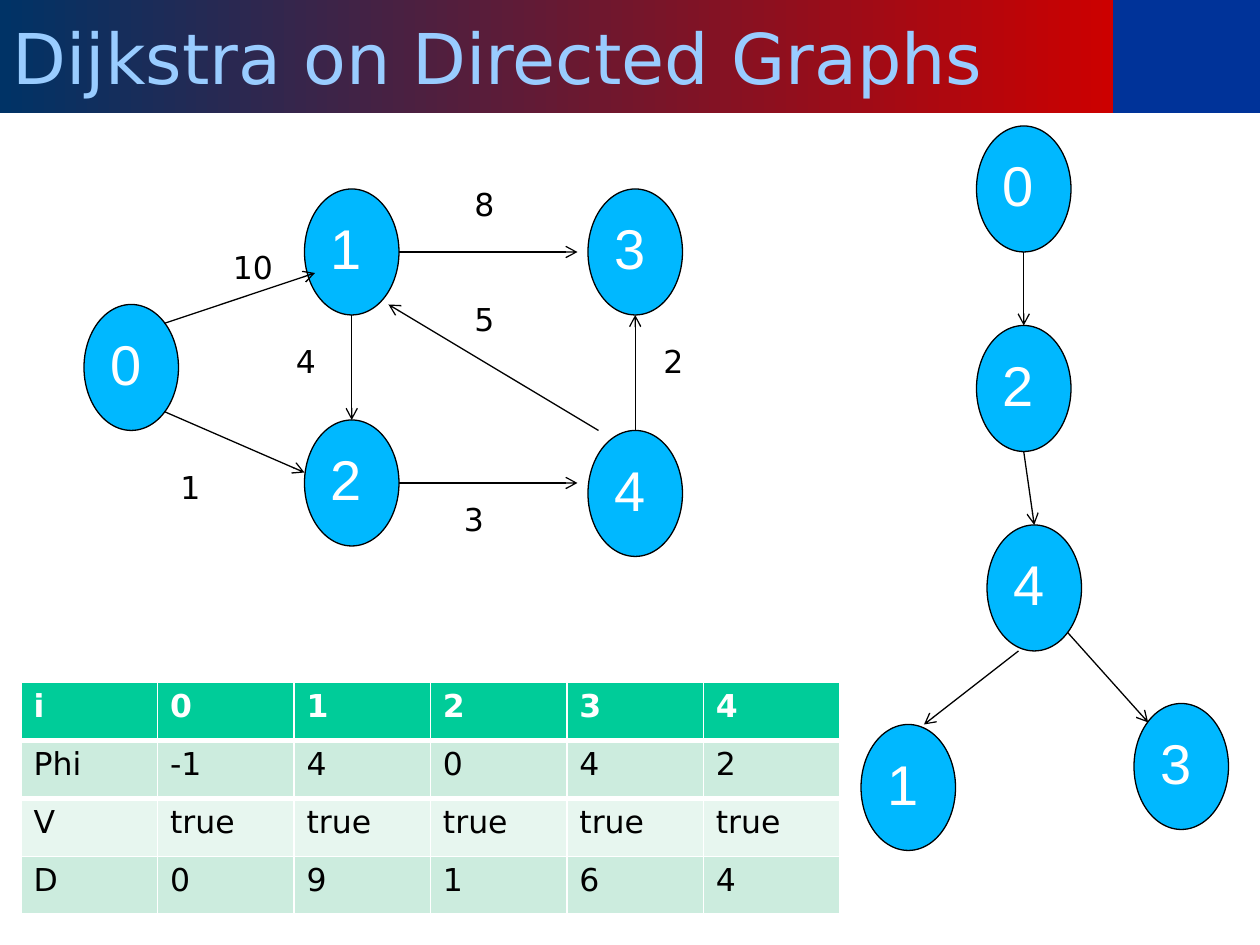
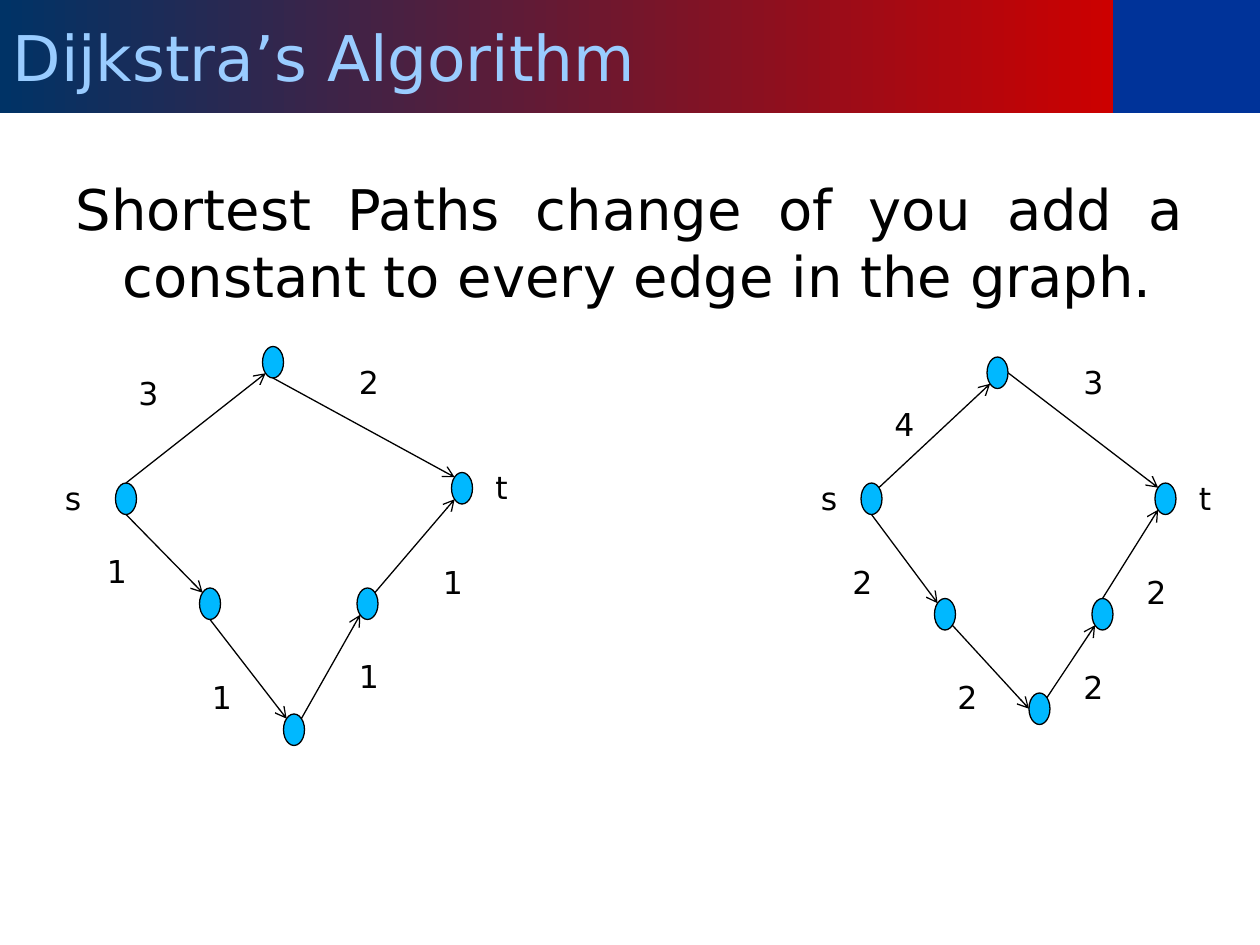
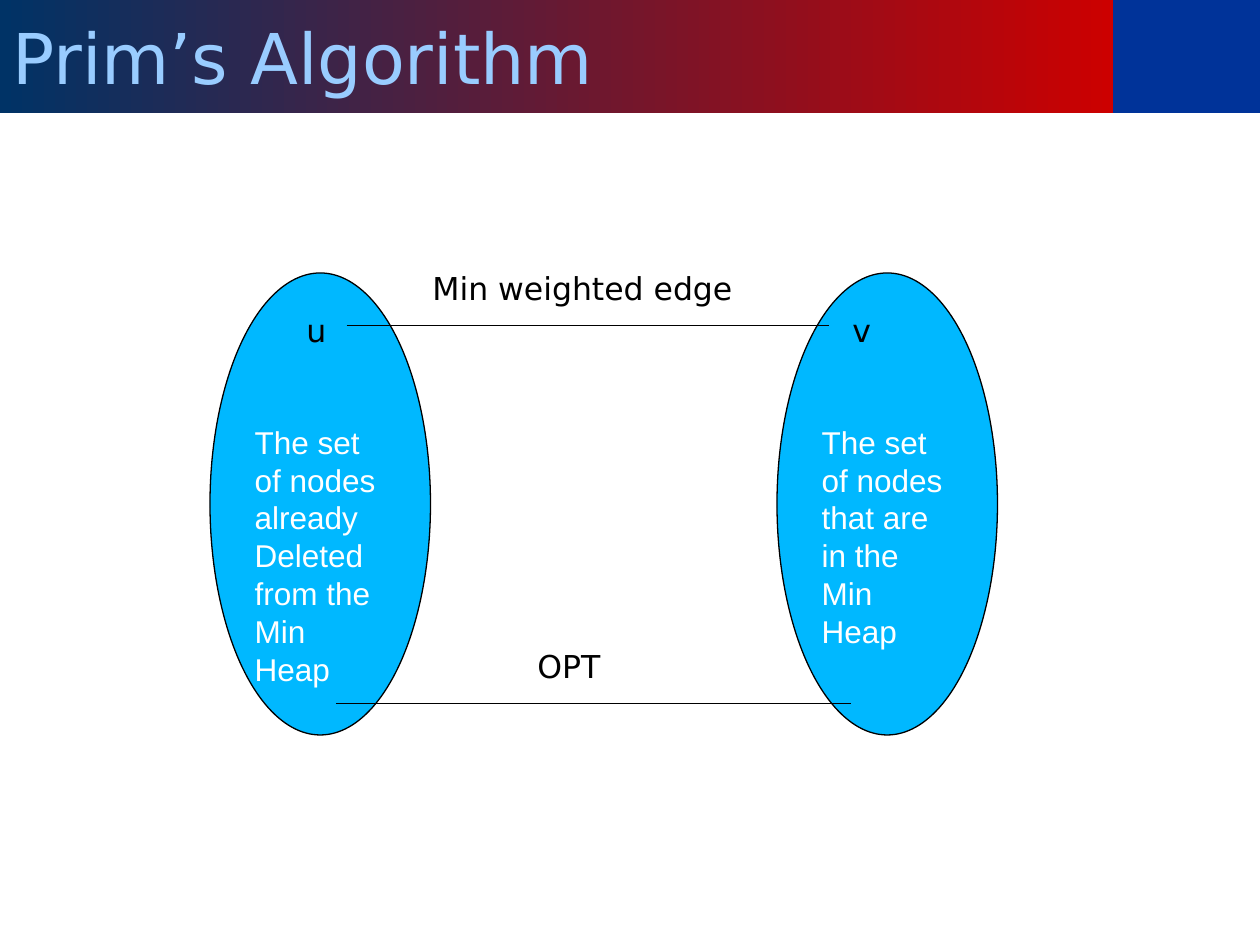
import dataclasses

import lxml.etree
import pptx
import pptx.dml.color
import pptx.enum.shapes
import pptx.enum.text
import pptx.oxml.ns
import pptx.util


@dataclasses.dataclass(frozen=True)
class Theme:
    heading: str = "99CCFF"
    band_right: str = "CC0000"
    band_left: str = "003366"
    corner: str = "003399"
    node: str = "00B8FF"
    ink: str = "000000"
    paper: str = "FFFFFF"
    table_head: str = "00CC99"
    table_rows: tuple = ("CCECDE", "E7F6EF")
    font: str = "DejaVu Sans"
    node_font: str = "Arial"
    title_size: int = 40
    small_title_size: int = 36
    large_size: int = 32
    text_size: int = 18
    line_width: float = 0.75
    seam_width: int = 3


THEME = Theme()
SLIDE = (720, 540)
BAND = (636.2, 64.5)
ALIGN = pptx.enum.text.PP_ALIGN
ANCHOR = pptx.enum.text.MSO_ANCHOR
SITES = {
    "n": (0.5, 0), "ne": (0.85, 0.15), "e": (1, 0.5), "se": (0.85, 0.85),
    "s": (0.5, 1), "sw": (0.15, 0.85), "w": (0, 0.5), "nw": (0.15, 0.15),
}
LABEL_WIDTHS = {"t": 21.6, "s": 23.8, "10": 37.4, "OPT": 51, "Min weighted edge": 186.5}

DIRECTED_GRAPH = {
    "nodes": {"4": (336, 246), "3": (336, 108), "2": (174, 240), "1": (174, 108), "0": (48, 174)},
    "edges": [
        ("0 ne", (180, 156)), ("0 se", (174, 270)), ("1 s", "2 n"), ("1 e", (330, 144)),
        ("2 e", (330, 276)), ((342, 246), (222, 174)), ("4 n", "3 s"),
    ],
    "labels": [
        ("10", 126, 138), ("4", 162, 192), ("5", 264, 168), ("2", 372, 192),
        ("3", 258, 282), ("1", 96, 264), ("8", 264, 102),
    ],
}
SHORTEST_PATH_TREE = {
    "nodes": {"0": (558, 72), "2": (558, 186), "4": (564, 300), "3": (648, 402), "1": (492, 414)},
    "edges": [("0 s", "2 n"), ("2 s", "4 n"), ((582, 372), (528, 414)), ("4 se", "3 nw")],
    "labels": [],
}
DISTANCES = [
    ("i", "0", "1", "2", "3", "4"),
    ("Phi", "-1", "4", "0", "4", "2"),
    ("V", "true", "true", "true", "true", "true"),
    ("D", "0", "9", "1", "6", "4"),
]
CONSTANT_CLAIM = "Shortest Paths change of you add a constant to every edge in the graph."
BEFORE_CONSTANT = {
    "nodes": {
        "bottom": (162, 408), "right": (204, 336), "left": (114, 336),
        "top": (150, 198), "s": (66, 276), "t": (258, 270),
    },
    "edges": [
        ("s n", "top sw"), ("top s", "t nw"), ("s s", "left nw"),
        ("left s", "bottom nw"), ("bottom ne", "right sw"), ("right ne", "t sw"),
    ],
    "labels": [
        ("t", 276, 264), ("s", 30, 270), ("3", 72, 210), ("1", 246, 318),
        ("1", 198, 372), ("1", 114, 384), ("1", 54, 312), ("2", 198, 204),
    ],
}
AFTER_CONSTANT = {
    "nodes": {
        "right": (624, 342), "bottom": (588, 396), "left": (534, 342),
        "top": (564, 204), "t": (660, 276), "s": (492, 276),
    },
    "edges": [
        ("s ne", "top sw"), ("top e", "t nw"), ("s s", "left nw"),
        ("left se", "bottom w"), ("bottom ne", "right sw"), ("right n", "t sw"),
    ],
    "labels": [
        ("t", 678, 270), ("s", 462, 270), ("4", 504, 228), ("2", 648, 324),
        ("2", 612, 378), ("2", 540, 384), ("2", 480, 318), ("3", 612, 204),
    ],
}
NODE_SETS = [
    (120, "The set of nodes already Deleted from the Min Heap"),
    (444, "The set of nodes that are in the Min Heap"),
]
CUT_EDGES = [((198, 186), (474, 186)), ((192, 402), (486, 402))]
CUT_LABELS = [("u", 168, 174), ("v", 480, 174), ("Min weighted edge", 240, 150), ("OPT", 300, 366)]


def points(*lengths):
    return [pptx.util.Pt(length) for length in lengths]


def rgb(color):
    return pptx.dml.color.RGBColor.from_string(color)


def paint(target, color):
    target.fill.solid()
    target.fill.fore_color.rgb = rgb(color)


def place(part, x, y, width, height):
    part.left, part.top, part.width, part.height = points(x, y, width, height)


def write(frame, text, size=THEME.text_size, color=THEME.ink, font=THEME.font, bold=False,
          align=ALIGN.LEFT):
    paragraph = frame.paragraphs[0]
    paragraph.alignment = align
    paragraph.space_before = pptx.util.Pt(0)
    run = paragraph.add_run()
    run.text = text
    run.font.size = pptx.util.Pt(size)
    run.font.name = font
    run.font.bold = bold
    run.font.color.rgb = rgb(color)
    return paragraph


def fit(frame, anchor=ANCHOR.TOP, top=3.6, wrap=True):
    frame.auto_size = pptx.enum.text.MSO_AUTO_SIZE.NONE
    frame.word_wrap = wrap
    frame.vertical_anchor = anchor
    frame.margin_left, frame.margin_top, frame.margin_right, frame.margin_bottom = points(7.2, top, 7.2, 3.6)
    return frame


def add_ellipse(slide, box, text="", size=THEME.text_size, top=3.6):
    ellipse = slide.shapes.add_shape(pptx.enum.shapes.MSO_SHAPE.OVAL, *points(*box))
    ellipse.shadow.inherit = False
    paint(ellipse, THEME.node)
    ellipse.line.color.rgb = rgb(THEME.ink)
    ellipse.line.width = pptx.util.Pt(THEME.line_width)
    if text:
        write(fit(ellipse.text_frame, top=top), text, size=size, color=THEME.paper,
              font=THEME.node_font)


def add_edge(slide, start, end, arrow=True):
    edge = slide.shapes.add_connector(pptx.enum.shapes.MSO_CONNECTOR.STRAIGHT, *points(*start, *end))
    edge.line.color.rgb = rgb(THEME.ink)
    edge.line.width = pptx.util.Pt(THEME.line_width)
    properties = edge.element.spPr
    if arrow:
        outline = properties.find(pptx.oxml.ns.qn("a:ln"))
        lxml.etree.SubElement(outline, pptx.oxml.ns.qn("a:tailEnd"), type="arrow")
    lxml.etree.SubElement(properties, pptx.oxml.ns.qn("a:effectLst"))


def add_labels(slide, labels):
    for text, x, y in labels:
        label = slide.shapes.add_textbox(*points(x, y, LABEL_WIDTHS.get(text, 26), 29))
        write(fit(label.text_frame, wrap=False), text)


def add_graph(slide, graph, size, numbered):
    def locate(end):
        if isinstance(end, tuple):
            return end
        name, site = end.split()
        return [corner + share * length
                for corner, share, length in zip(graph["nodes"][name], SITES[site], size)]

    for name, corner in graph["nodes"].items():
        add_ellipse(slide, (*corner, *size), name if numbered else "", THEME.large_size)
    for start, end in graph["edges"]:
        add_edge(slide, locate(start), locate(end))
    add_labels(slide, graph["labels"])


def add_seam(cell, side):
    properties = cell._tc.get_or_add_tcPr()
    seam = lxml.etree.Element(pptx.oxml.ns.qn(side), w=str(pptx.util.Pt(THEME.seam_width)))
    fill = lxml.etree.SubElement(seam, pptx.oxml.ns.qn("a:solidFill"))
    lxml.etree.SubElement(fill, pptx.oxml.ns.qn("a:srgbClr"), val=THEME.paper)
    properties.insert(0, seam)


def add_distances(slide, x=12, y=390, column=78, row=33.12):
    size = (column * len(DISTANCES[0]), row * len(DISTANCES))
    table = slide.shapes.add_table(len(DISTANCES), len(DISTANCES[0]), *points(x, y, *size)).table
    seams = {0: "a:lnB", 1: "a:lnT"}
    for r, values in enumerate(DISTANCES):
        head = r == 0
        for c, value in enumerate(values):
            cell = table.cell(r, c)
            paint(cell, THEME.table_head if head else THEME.table_rows[(r - 1) % 2])
            write(cell.text_frame, value, color=THEME.paper if head else THEME.ink, bold=head)
            if r in seams:
                add_seam(cell, seams[r])


def add_slide(deck, layout, heading, size=THEME.title_size):
    slide = deck.slides.add_slide(deck.slide_layouts.get_by_name(layout))
    title = slide.shapes.title
    place(title, 0, 0, *BAND)
    title.fill.gradient()
    title.fill.gradient_angle = 180
    for stop, color in zip(title.fill.gradient_stops, (THEME.band_right, THEME.band_left)):
        stop.color.rgb = rgb(color)
    write(fit(title.text_frame, anchor=ANCHOR.MIDDLE), heading, size=size, color=THEME.heading)
    return slide


def add_corner_to_master(deck, slide):
    corner = slide.shapes.add_shape(pptx.enum.shapes.MSO_SHAPE.RECTANGLE,
                                    *points(636, 0, SLIDE[0] - 636, BAND[1]))
    corner.shadow.inherit = False
    paint(corner, THEME.corner)
    corner.line.fill.background()
    corner.element.nvSpPr.cNvPr.set("id", "20")
    deck.slide_master.shapes.element.append(corner.element)


def add_claim(slide):
    claim = slide.placeholders[1]
    place(claim, 36, 96, 648, 386.5)
    paragraph = write(fit(claim.text_frame), CONSTANT_CLAIM, size=THEME.large_size,
                      align=ALIGN.JUSTIFY)
    properties = paragraph._p.get_or_add_pPr()
    properties.set("marL", str(pptx.util.Pt(27)))
    properties.set("indent", str(pptx.util.Pt(-27)))
    lxml.etree.SubElement(properties, pptx.oxml.ns.qn("a:buNone"))


def main():
    deck = pptx.Presentation()
    deck.slide_width, deck.slide_height = points(*SLIDE)

    directed = add_slide(deck, "Title Only", "Dijkstra on Directed Graphs")
    add_corner_to_master(deck, directed)
    add_graph(directed, DIRECTED_GRAPH, (54, 72), numbered=True)
    add_distances(directed)
    add_graph(directed, SHORTEST_PATH_TREE, (54, 72), numbered=True)

    constant = add_slide(deck, "Title and Content", "Dijkstra’s Algorithm", THEME.small_title_size)
    add_claim(constant)
    for graph in (BEFORE_CONSTANT, AFTER_CONSTANT):
        add_graph(constant, graph, (12, 18), numbered=False)

    prim = add_slide(deck, "Title Only", "Prim’s Algorithm")
    for x, text in NODE_SETS:
        add_ellipse(prim, (x, 156, 126, 264), text, top=47)
    for start, end in CUT_EDGES:
        add_edge(prim, start, end, arrow=False)
    add_labels(prim, CUT_LABELS)

    deck.save("out.pptx")


if __name__ == "__main__":
    main()
